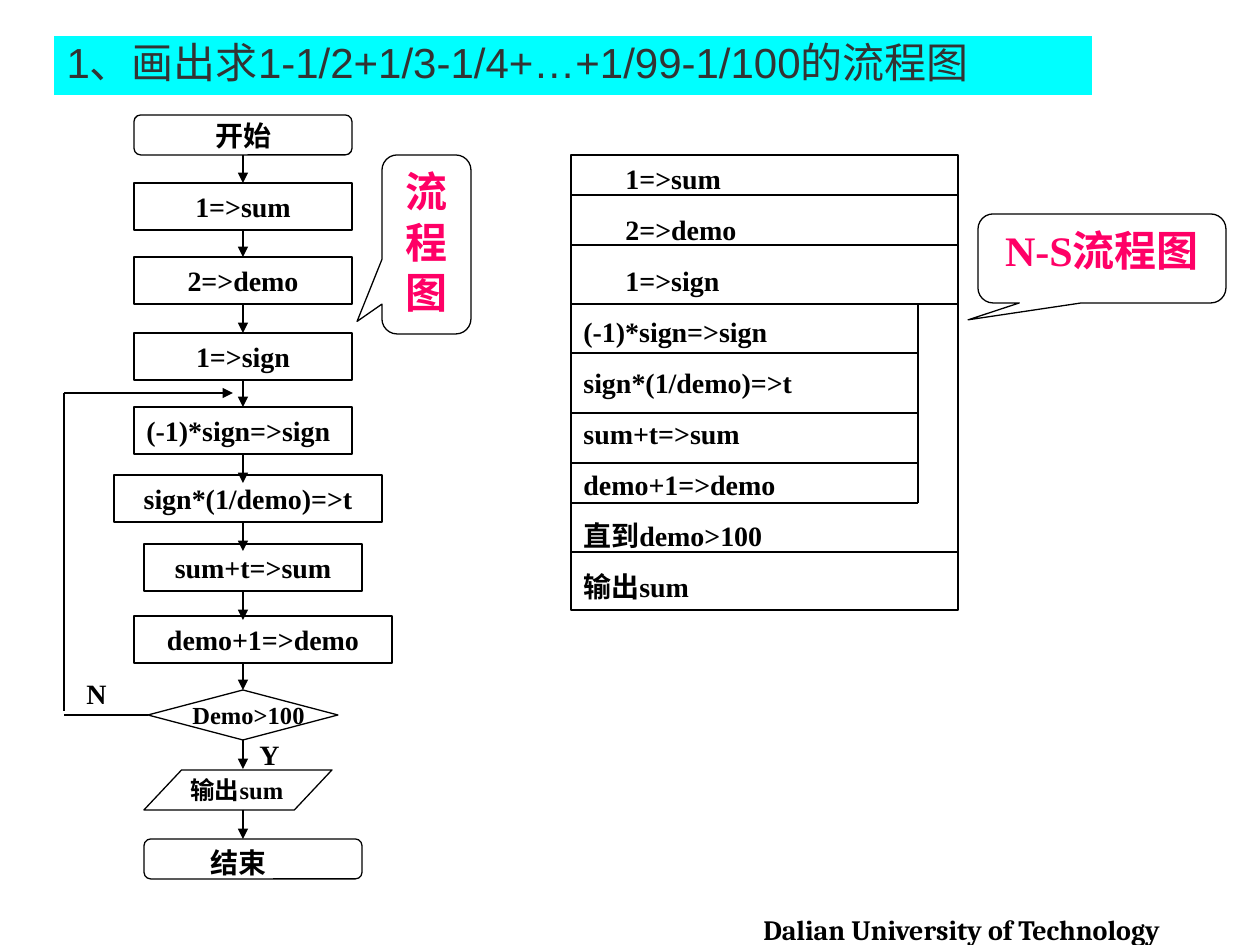
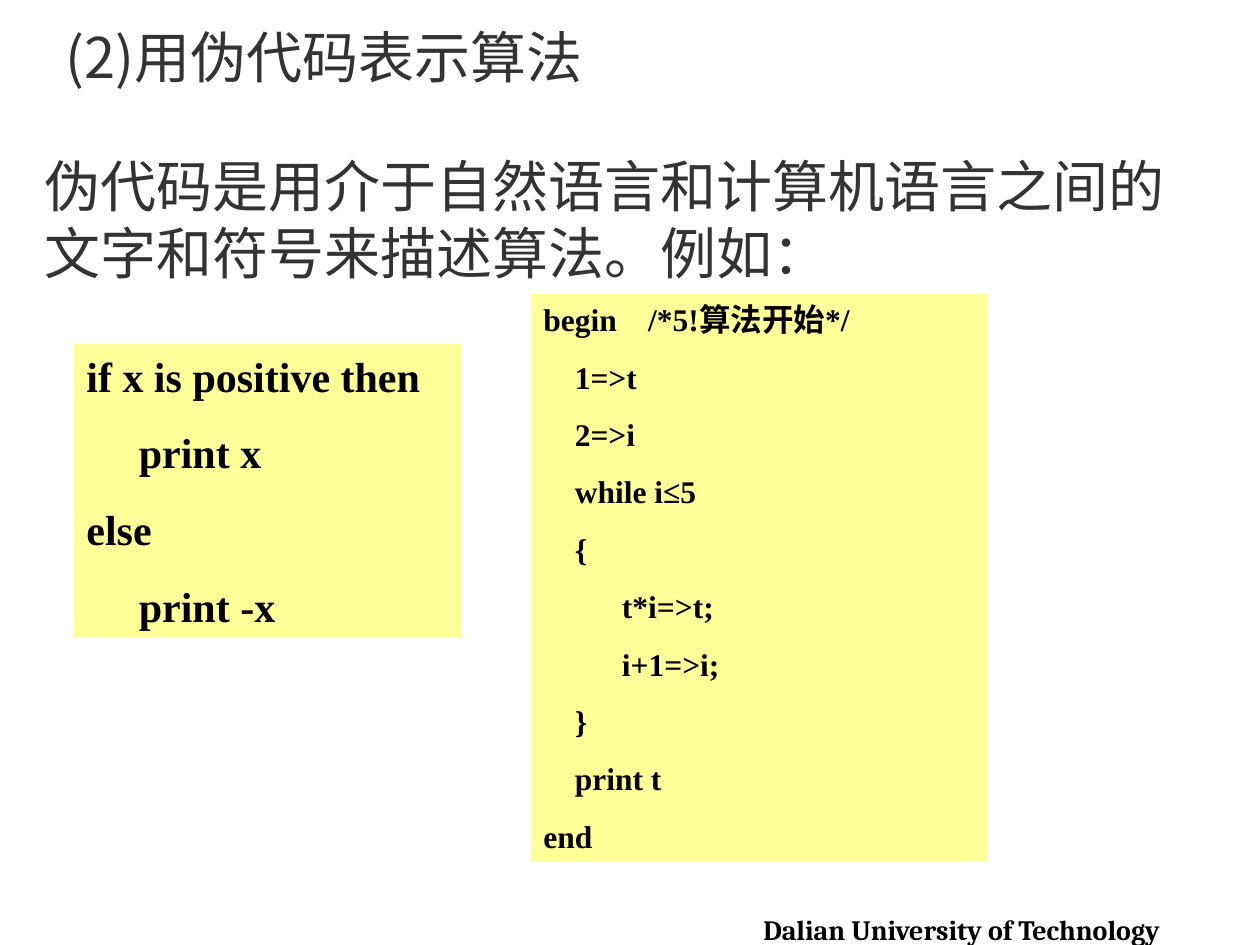
import pptx
import pptx.dml.color
import pptx.enum.shapes
import pptx.enum.text
import pptx.oxml.ns
import pptx.util
from lxml import etree

COLORS = {"ink": "000000", "heading": "333333", "band": "00FFFF",
          "callout": "FF0066", "code": "FFFF99"}
EMU_PER_PX = 914400 / 126
SERIF = "Times New Roman"
SANS = "Arial"
SHAPES = pptx.enum.shapes.MSO_SHAPE
ALIGN = pptx.enum.text.PP_ALIGN
ANCHOR = pptx.enum.text.MSO_ANCHOR

SPINE = 243
ARROW_LENGTH = 29
STEP_HEIGHT = 47
STEPS = [
    ("1=>sum", 134, 183, 218), ("2=>demo", 134, 257, 218),
    ("1=>sign", 134, 333, 218), ("(-1)*sign=>sign", 134, 407, 218),
    ("sign*(1/demo)=>t", 114, 475, 268), ("sum+t=>sum", 144, 544, 218),
    ("demo+1=>demo", 134, 616, 258),
]
FLOW_LABELS = [
    ("开始", (203, 112, 120, 47), 16), ("Demo>100", (180, 694, 198, 43), 14),
    ("输出sum", (178, 769, 198, 43), 14), ("结束", (198, 839, 100, 47), 16),
    ("N", (74, 670, 79, 47), 16), ("Y", (247, 731, 110, 47), 16),
]
NS_ROWS = ["1=>sum", "2=>demo", "1=>sign", "(-1)*sign=>sign", "sign*(1/demo)=>t",
           "sum+t=>sum", "demo+1=>demo", "直到demo>100", "输出sum"]
NS_OUTER_RULES = [195, 245, 304, 552]
NS_LOOP_RULES = [353, 413, 463, 503]
SIGN_TEST = ["if x is positive then", "     print x", "else", "     print -x"]
FACTORIAL = ["begin    /*5!算法开始*/", "    1=>t", "    2=>i", "    while i≤5", "    {",
             "          t*i=>t;", "          i+1=>i;", "    }", "    print t", "end"]


def px(length):
    return pptx.util.Emu(round(length * EMU_PER_PX))


def rgb(name):
    return pptx.dml.color.RGBColor.from_string(COLORS[name])


def add_xml(parent, tag, **attributes):
    return etree.SubElement(parent, pptx.oxml.ns.qn(tag), attributes)


def write(shape, lines, size=16, font=SERIF, asian_font=SANS, color="ink", bold=True,
          align=ALIGN.LEFT, anchor=ANCHOR.TOP, spacing=1.0, gap=0, indents=()):
    frame = shape.text_frame
    frame.word_wrap = True
    frame.auto_size = pptx.enum.text.MSO_AUTO_SIZE.NONE
    frame.vertical_anchor = anchor
    for index, line in enumerate(lines):
        paragraph = frame.add_paragraph() if index else frame.paragraphs[0]
        properties = paragraph._p.get_or_add_pPr()
        properties.set("marL", str(px(indents[index]) if index < len(indents) else 0))
        properties.set("indent", "0")
        add_xml(properties, "a:buNone")
        paragraph.alignment = align
        paragraph.line_spacing = spacing
        paragraph.space_before = pptx.util.Pt(gap if index else 0)
        run = paragraph.add_run()
        run.text = line
        run.font.size = pptx.util.Pt(size)
        run.font.bold = bold
        run.font.color.rgb = rgb(color)
        run.font.name = font
        add_xml(run._r.get_or_add_rPr(), "a:ea", typeface=asian_font)


def place(shape, left, top, width, height):
    shape.left, shape.top = px(left), px(top)
    shape.width, shape.height = px(width), px(height)
    return shape


def add_outline(slide, kind, box, adjustments=()):
    shape = slide.shapes.add_shape(kind, *map(px, box))
    shape.shadow.inherit = False
    shape.fill.background()
    shape.line.color.rgb = rgb("ink")
    shape.line.width = pptx.util.Pt(0.75)
    for index, value in enumerate(adjustments):
        shape.adjustments[index] = value
    return shape


def add_label(slide, text, box, **text_format):
    write(slide.shapes.add_textbox(*map(px, box)), [text], **text_format)


def add_line(slide, start, end, arrow=False):
    line = slide.shapes.add_connector(
        pptx.enum.shapes.MSO_CONNECTOR.STRAIGHT, *map(px, start + end))
    line.line.color.rgb = rgb("ink")
    line.line.width = pptx.util.Pt(0.75)
    if arrow:
        add_xml(line.line._ln, "a:tailEnd", type="triangle")
    add_xml(line._element.spPr, "a:effectLst")
    return line


def on_spine(shape):
    return abs(shape.left + shape.width / 2 - px(SPINE)) < px(1)


def add_flow_arrow(slide, source, target):
    top = round((source.top + source.height) / EMU_PER_PX)
    arrow = add_line(slide, (SPINE, top), (SPINE, top + ARROW_LENGTH), arrow=True)
    if on_spine(source):
        arrow.begin_connect(source, 2)
    if on_spine(target):
        arrow.end_connect(target, 0)


def add_callout(slide, text, box, adjustments):
    callout = add_outline(slide, SHAPES.ROUNDED_RECTANGULAR_CALLOUT, box, adjustments)
    write(callout, [text], size=24, color="callout", align=ALIGN.CENTER)


def add_code(slide, lines, box, size, gap):
    listing = add_outline(slide, SHAPES.RECTANGLE, box)
    listing.line.fill.background()
    listing.fill.solid()
    listing.fill.fore_color.rgb = rgb("code")
    write(listing, lines, size=size, gap=gap)


def add_footer(slide):
    add_label(slide, "Dalian University of Technology", (751, 906, 478, 47), font="Cambria")


def add_flowchart(slide):
    start = add_outline(slide, SHAPES.ROUNDED_RECTANGLE, (134, 115, 218, 40))
    stages = [start]
    for text, left, top, width in STEPS:
        step = add_outline(slide, SHAPES.RECTANGLE, (left, top, width, STEP_HEIGHT))
        align = ALIGN.LEFT if text.startswith("(") else ALIGN.CENTER
        write(step, [text], align=align)
        stages.append(step)
    decision = add_outline(slide, SHAPES.FLOWCHART_DECISION, (148, 690, 190, 50))
    output = add_outline(slide, SHAPES.FLOWCHART_DATA, (144, 770, 188, 40))
    finish = add_outline(slide, SHAPES.ROUNDED_RECTANGLE, (144, 839, 218, 40))
    stages += [decision, output, finish]
    for source, target in zip(stages, stages[1:]):
        add_flow_arrow(slide, source, target)
    add_line(slide, (148, 715), (64, 715)).begin_connect(decision, 1)
    add_line(slide, (64, 711), (64, 393))
    add_line(slide, (64, 393), (233, 393), arrow=True)
    for text, box, size in FLOW_LABELS:
        add_label(slide, text, box, size=size)


def add_ns_chart(slide):
    left, right, loop_right = 571, 958, 918
    frame = add_outline(slide, SHAPES.RECTANGLE, (left, 155, right - left, 455))
    write(frame, NS_ROWS, gap=10, indents=(42, 42, 42))
    for rules, end in ((NS_OUTER_RULES, right), (NS_LOOP_RULES, loop_right)):
        for y in rules:
            add_line(slide, (left, y), (end, y))
    add_line(slide, (loop_right, 304), (loop_right, 503))


def build_flowchart_slide(deck):
    slide = deck.slides.add_slide(deck.slide_layouts[5])
    title = place(slide.shapes.title, 54, 36, 1038, 59)
    title.fill.solid()
    title.fill.fore_color.rgb = rgb("band")
    write(title, ["1、画出求1-1/2+1/3-1/4+…+1/99-1/100的流程图"], size=24, font=SANS,
          color="heading", bold=False, spacing=0.9)
    add_flowchart(slide)
    add_callout(slide, "流程图", (382, 155, 89, 179), (-0.78, 0.43, 0.17))
    add_ns_chart(slide)
    add_callout(slide, "N-S流程图", (978, 214, 248, 89), (-0.54, 0.69, 0.17))
    add_footer(slide)


def build_pseudocode_slide(deck):
    slide = deck.slides.add_slide(deck.slide_layouts[1])
    title = place(slide.shapes.title, 53, 3, 1155, 106)
    write(title, ["(2)用伪代码表示算法"], size=32, font="Noto Sans CJK SC",
          asian_font="Noto Sans CJK SC", color="heading", bold=False, anchor=ANCHOR.MIDDLE)
    definition = place(slide.placeholders[1], 32, 145, 1187, 159)
    write(definition, ["伪代码是用介于自然语言和计算机语言之间的文字和符号来描述算法。例如："],
          size=32, font=SANS, color="heading", bold=False)
    add_code(slide, SIGN_TEST, (74, 344, 387, 293), size=24, gap=15)
    add_code(slide, FACTORIAL, (531, 294, 456, 568), size=18, gap=11.2)
    add_footer(slide)


def main():
    deck = pptx.Presentation()
    deck.slide_width, deck.slide_height = px(1260), px(945)
    build_flowchart_slide(deck)
    build_pseudocode_slide(deck)
    deck.save("out.pptx")


if __name__ == "__main__":
    main()
